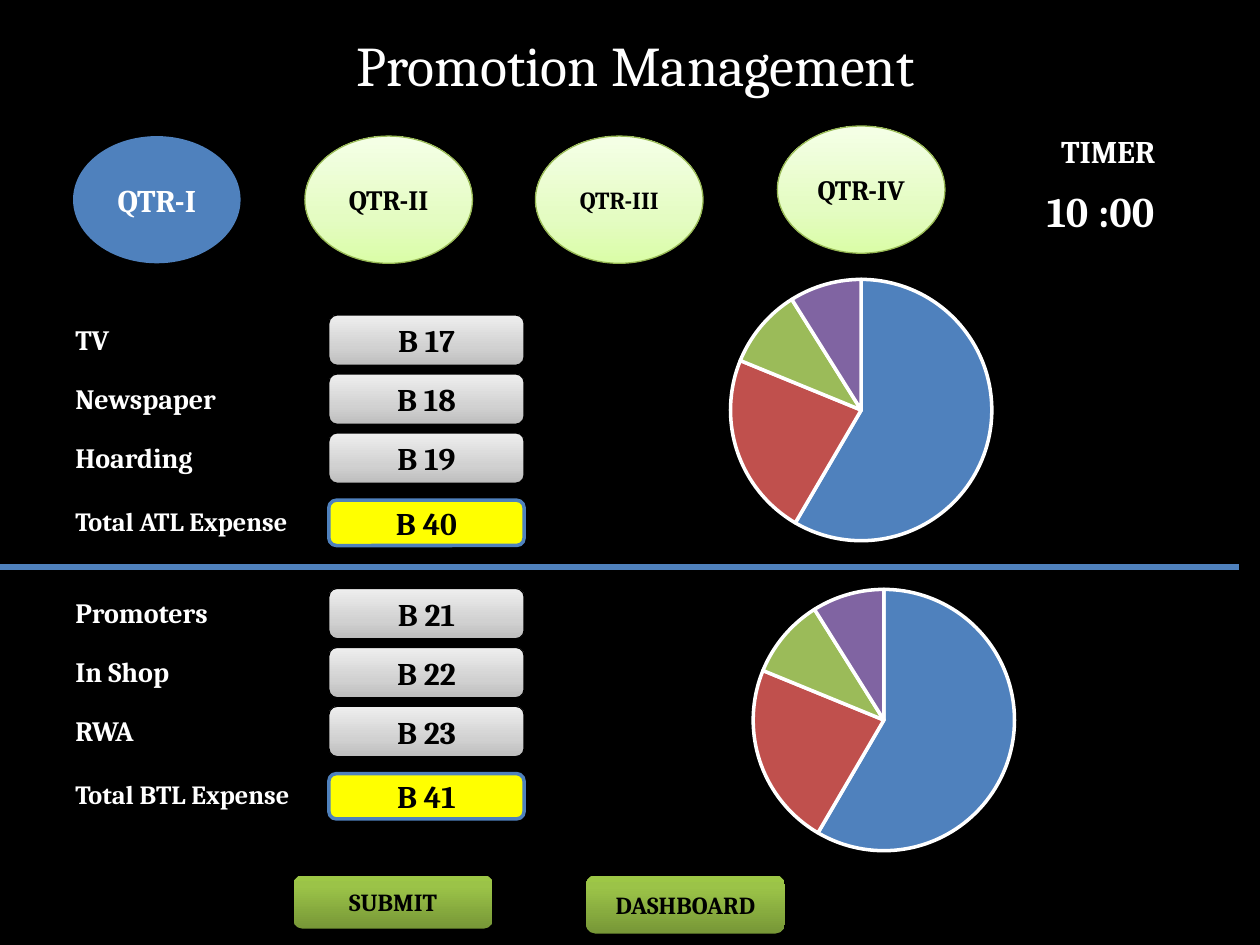
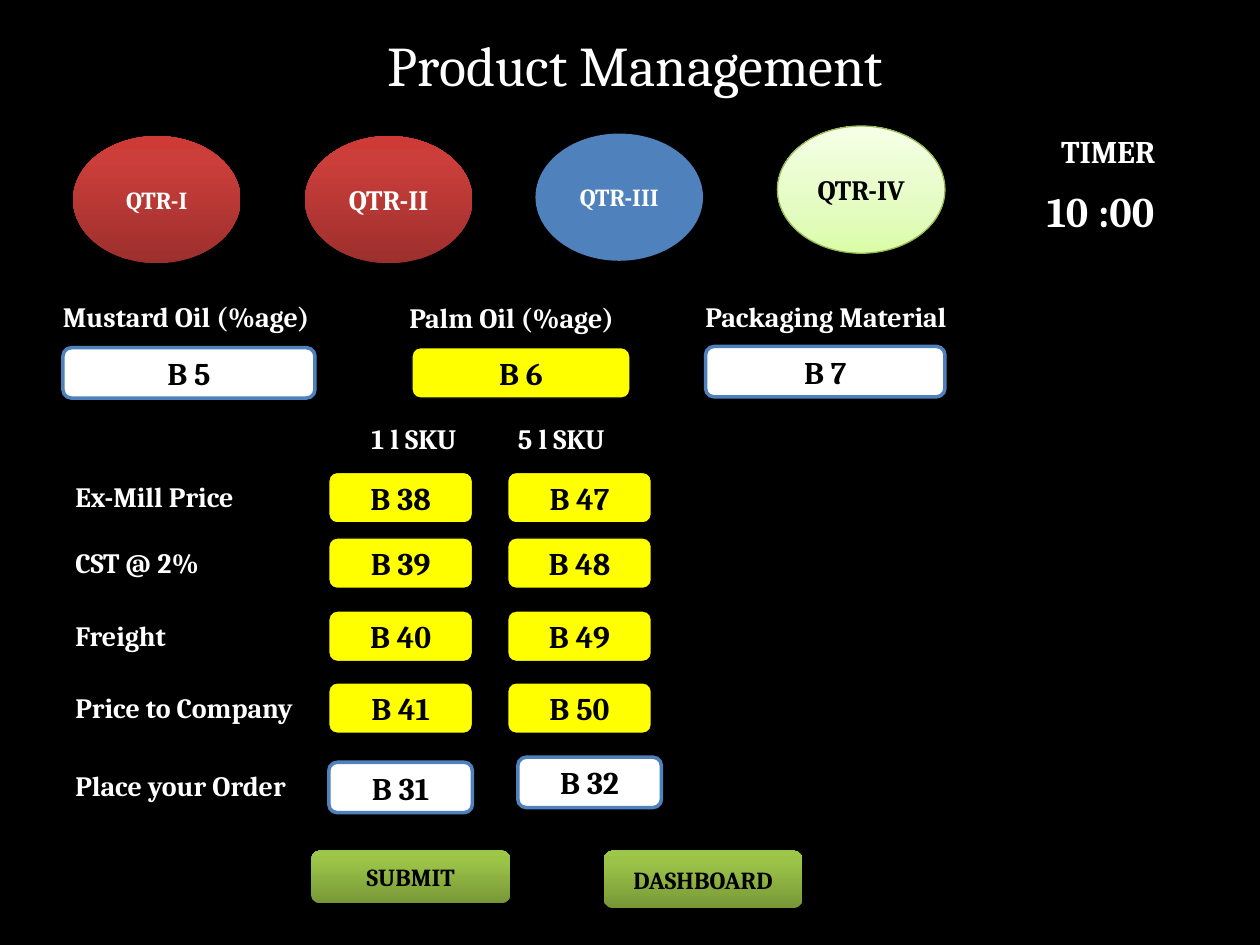
import pptx
import pptx.util
import pptx.dml.color
import pptx.chart.data
import pptx.enum.chart
import pptx.enum.shapes
import pptx.enum.text
from lxml import etree

Inches = pptx.util.Inches
SHAPE = pptx.enum.shapes.MSO_SHAPE
ALIGN = pptx.enum.text.PP_ALIGN
ANCHOR = pptx.enum.text.MSO_ANCHOR
DRAWING = "{http://schemas.openxmlformats.org/drawingml/2006/main}"

# Shared look
FONT = "Cambria"
BLACK, WHITE, BLUE, YELLOW = "000000", "FFFFFF", "4F81BD", "FFFF00"
PIE_COLOURS = [BLUE, "C0504D", "9BBB59", "8064A2"]
LIME = [(0, "DAFDA7"), (35, "E4FCC2"), (100, "F5FFE7")]
GREY = [(0, "BDBDBD"), (35, "D1D1D1"), (100, "EEEEEE")]
RED = [(0, "9C2F2D"), (80, "CB3E3A"), (100, "CE3B37")]
GREEN = [(0, "779737"), (80, "9BC348"), (100, "9DC746")]

# Formats of quarter ovals and value boxes
CURRENT = dict(fill=BLUE, color=WHITE)
DONE = dict(fill=RED, color=WHITE)
UPCOMING = dict(fill=LIME, line=("98B955", 0.75))
ENTRY = dict(fill=GREY, line=(BLACK, 0.75))
RESULT = dict(fill=YELLOW, line=(BLACK, 0.75))
TOTAL = dict(fill=YELLOW, line=(BLUE, 2))
INPUT = dict(fill=WHITE, line=(BLUE, 2))


def rgb(value):
    return pptx.dml.color.RGBColor.from_string(value)


def write(box, text, size=16, color=WHITE, bold=True, align=ALIGN.LEFT, anchor=ANCHOR.TOP):
    frame = box.text_frame
    frame.word_wrap = True
    frame.vertical_anchor = anchor
    para = frame.paragraphs[0]
    para.alignment = align
    span = para.add_run()
    span.text = text
    span.font.name = FONT
    span.font.size = pptx.util.Pt(size)
    span.font.bold = bold
    span.font.color.rgb = rgb(color)


def paint(box, fill):
    """Fill with one colour, or with gradient stops that run from bottom to top."""
    if isinstance(fill, str):
        box.fill.solid()
        box.fill.fore_color.rgb = rgb(fill)
        return
    box.fill.gradient()
    box.fill.gradient_angle = 90
    stops = next(box._element.iter(DRAWING + "gsLst"))
    for stop in list(stops):
        stops.remove(stop)
    for percent, color in fill:
        stop = etree.SubElement(stops, DRAWING + "gs", pos=str(percent * 1000))
        etree.SubElement(stop, DRAWING + "srgbClr", val=color)


def add_label(page, text, left, top, width=2, height=0.37, **style):
    box = page.shapes.add_textbox(*map(Inches, (left, top, width, height)))
    write(box, text, **style)


def add_box(page, text, left, top, width, height=0.4, kind=SHAPE.ROUNDED_RECTANGLE,
            fill=BLACK, line=None, size=18, color=BLACK, align=ALIGN.CENTER,
            anchor=ANCHOR.MIDDLE):
    box = page.shapes.add_shape(kind, *map(Inches, (left, top, width, height)))
    box.shadow.inherit = False
    paint(box, fill)
    if line:
        box.line.color.rgb = rgb(line[0])
        box.line.width = pptx.util.Pt(line[1])
    else:
        box.line.fill.background()
    write(box, text, size=size, color=color, align=align, anchor=anchor)


def add_quarter(page, name, left, top, size, state):
    add_box(page, name, left, top, 1.33, 1.01, kind=SHAPE.OVAL, size=size, **state)


def add_divider(page, top, width):
    line = page.shapes.add_connector(pptx.enum.shapes.MSO_CONNECTOR.STRAIGHT,
                                     0, Inches(top), Inches(width), Inches(top))
    line.line.color.rgb = rgb(BLUE)
    line.line.width = pptx.util.Pt(3)
    etree.SubElement(line._element.spPr, DRAWING + "effectLst")


def add_pie(page, left, top):
    data = pptx.chart.data.CategoryChartData()
    data.categories = ["1", "2", "3", "4"]
    data.add_series("Series 1", (59, 23, 10, 9))
    chart = page.shapes.add_chart(pptx.enum.chart.XL_CHART_TYPE.PIE,
                                  *map(Inches, (left, top, 3.83, 2.35)), data).chart
    chart.has_legend = False
    chart.has_title = False
    chart.font.name = "Calibri"
    chart.font.size = pptx.util.Pt(10)
    chart.font.color.rgb = rgb(BLACK)
    plot = chart.plots[0]
    plot.vary_by_categories = True
    for index, color in enumerate(PIE_COLOURS):
        look = plot.series[0].points[index].format
        look.fill.solid()
        look.fill.fore_color.rgb = rgb(color)
        look.line.color.rgb = rgb(WHITE)
        look.line.width = pptx.util.Pt(2)


def add_page(deck, title):
    """Black page with its title and the timer."""
    page = deck.slides.add_slide(deck.slide_layouts[6])
    page.background.fill.solid()
    page.background.fill.fore_color.rgb = rgb(BLACK)
    add_label(page, title, 1.17, 0.19, 7.75, 0.64, size=32, bold=False, align=ALIGN.CENTER)
    timer = dict(kind=SHAPE.RECTANGLE, line=(BLACK, 2), color=WHITE, anchor=ANCHOR.TOP)
    add_box(page, "TIMER", 8.17, 1, 1.25, **timer)
    add_box(page, "10 :00 ", 8.21, 1.42, 1.16, 0.5, size=24, align=ALIGN.LEFT, **timer)
    return page


def add_buttons(page, left, top):
    add_box(page, "SUBMIT", left, top, 1.58, 0.42, fill=GREEN, size=14)
    add_box(page, "DASHBOARD", left + 2.32, top, 1.58, 0.46, fill=GREEN, size=14)


def add_expenses(page, top, rows, total):
    for index, (name, value) in enumerate(rows):
        row_top = top + index * 0.468
        add_box(page, value, 2.61, row_top, 1.55, **ENTRY)
        add_label(page, name, 0.5, row_top + 0.01)
    add_label(page, total[0], 0.5, top + 1.46, height=0.35, size=15)
    add_box(page, total[1], 2.61, top + 1.47, 1.55, 0.36, **TOTAL)


def build_promotion(deck):
    page = add_page(deck, "Promotion Management")
    add_quarter(page, "QTR-I", 0.58, 1.08, 18, CURRENT)
    add_quarter(page, "QTR-II", 2.42, 1.08, 16, UPCOMING)
    add_quarter(page, "QTR-III", 4.25, 1.08, 14, UPCOMING)
    add_quarter(page, "QTR-IV", 6.17, 1, 16, UPCOMING)
    add_expenses(page, 2.5, [("TV", "B 17"), ("Newspaper", "B 18"), ("Hoarding", "B 19")],
                 ("Total ATL Expense", "B 40"))
    add_expenses(page, 4.67, [("Promoters", "B 21"), ("In Shop", "B 22"), ("RWA", "B 23")],
                 ("Total BTL Expense", "B 41"))
    add_divider(page, 4.5, 9.83)
    add_pie(page, 4.92, 2.08)
    add_pie(page, 5.1, 4.54)
    add_buttons(page, 2.33, 6.95)


def build_product(deck):
    page = add_page(deck, "Product Management")
    add_quarter(page, "QTR-I", 0.58, 1.08, 14, DONE)
    add_quarter(page, "QTR-II", 2.42, 1.08, 16, DONE)
    add_quarter(page, "QTR-III", 4.25, 1.06, 14, CURRENT)
    add_quarter(page, "QTR-IV", 6.17, 1, 16, UPCOMING)

    # Material mix
    add_label(page, "Mustard Oil (%age)", 0.4, 2.33, 2.68)
    add_label(page, "Palm Oil (%age)", 3.15, 2.34, 3.43)
    add_label(page, "Packaging Material", 5.5, 2.33, 2.68)
    add_box(page, "B 5", 0.5, 2.76, 2, **INPUT)
    add_box(page, "B 6", 3.27, 2.76, 1.73, **RESULT)
    add_box(page, "B 7", 5.6, 2.75, 1.9, **INPUT)

    # Prices for each pack size
    add_label(page, "1 l SKU", 2.75, 3.3, 1.07, align=ALIGN.CENTER)
    add_label(page, "5 l SKU", 3.92, 3.3, 1.07, align=ALIGN.CENTER)
    prices = [("Ex-Mill Price", 3.75, "B 38", "B 47"), ("CST @ 2%", 4.27, "B 39", "B 48"),
              ("Freight", 4.85, "B 40", "B 49"), ("Price to Company", 5.42, "B 41", "B 50")]
    for name, top, small, large in prices:
        add_label(page, name, 0.5, top + 0.01)
        add_box(page, small, 2.61, top, 1.14, **RESULT)
        add_box(page, large, 4.03, top, 1.14, **RESULT)

    # Order
    add_label(page, "Place your Order", 0.5, 6.05, 2.68)
    add_box(page, "B 31", 2.61, 6.05, 1.14, **INPUT)
    add_box(page, "B 32", 4.11, 6.01, 1.14, **INPUT)
    add_buttons(page, 2.47, 6.75)


def main():
    deck = pptx.Presentation()
    deck.slide_width, deck.slide_height = Inches(10), Inches(7.5)
    build_promotion(deck)
    build_product(deck)
    deck.save("out.pptx")


main()
